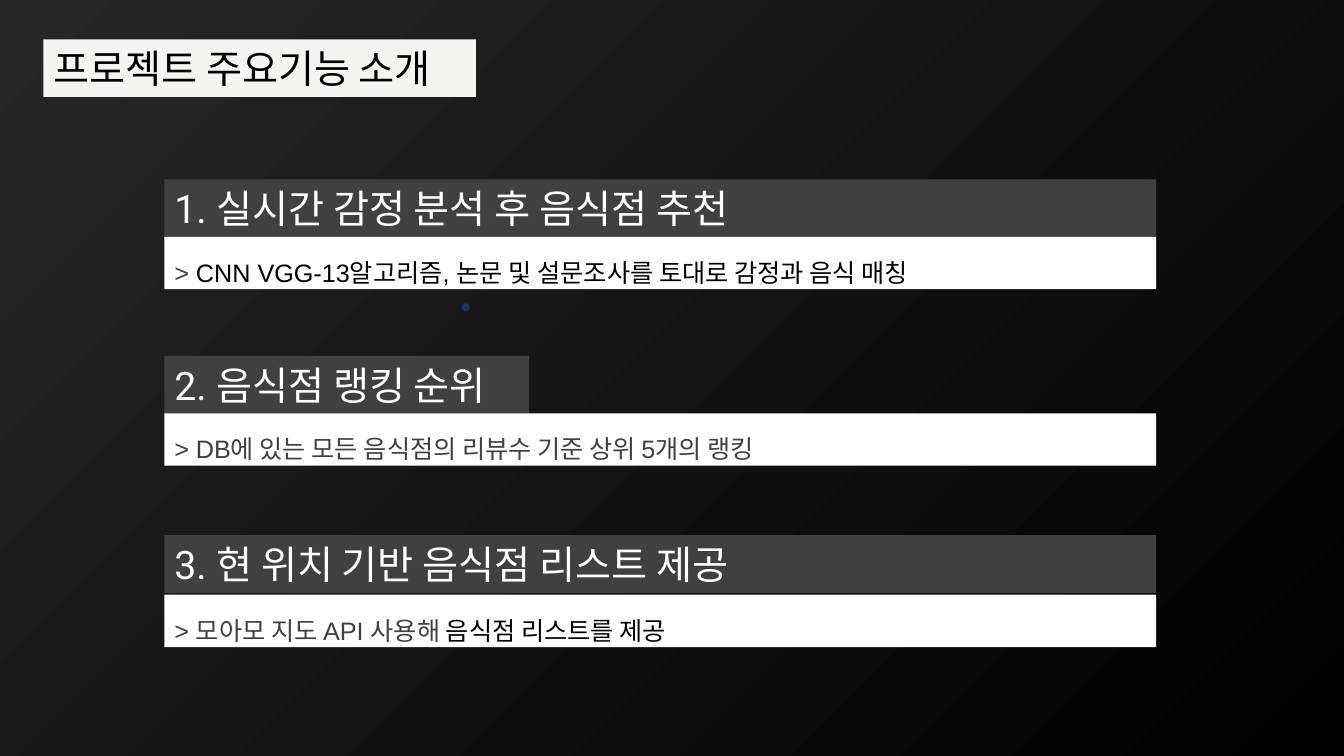
from dataclasses import dataclass

from pptx import Presentation
from pptx.dml.color import RGBColor as RGB
from pptx.enum.shapes import MSO_SHAPE as Shape
from pptx.enum.text import MSO_AUTO_SIZE as AutoSize
from pptx.util import Pt


@dataclass(frozen=True)
class Theme:
    bg_start: RGB = RGB(0x26, 0x26, 0x26)
    black: RGB = RGB(0, 0, 0)
    white: RGB = RGB(255, 255, 255)
    title_bar: RGB = RGB(0xF4, 0xF4, 0xF3)
    heading_bar: RGB = RGB(0x40, 0x40, 0x41)
    detail: RGB = RGB(0x40, 0x40, 0x40)
    dot: RGB = RGB(0x17, 0x37, 0x5E)
    heading_font: str = "Roboto"
    detail_font: str = "Arial"
    heading_size: Pt = Pt(28)
    detail_size: Pt = Pt(18)


THEME = Theme()
LEFT, WIDTH = 117.4, 708.5
HEADING_HEIGHT, DETAIL_HEIGHT = 41.2, 37.4

# heading top, heading width (None: full), detail top, heading, grey and black detail text
FEATURES = [
    (128.2, None, 169.2, "1. 실시간 감정 분석 후 음식점 추천",
     "> ", "CNN VGG-13알고리즘, 논문 및 설문조사를 토대로 감정과 음식 매칭"),
    (254.2, 260.6, 295.2, "2. 음식점 랭킹 순위",
     "> DB에 있는 모든 음식점의 리뷰수 기준 상위 5개의 랭킹", ""),
    (382.3, None, 424.8, "3. 현 위치 기반 음식점 리스트 제공",
     "> 모아모 지도 API 사용해 ", "음식점 리스트를 제공"),
]


def paint_background(s):
    fill = s.background.fill
    fill.gradient()
    fill.gradient_angle = 315
    for stop, color in zip(fill.gradient_stops, (THEME.bg_start, THEME.black)):
        stop.color.rgb = color


def add_dot(s, left, top, size):
    sp = s.shapes.add_shape(Shape.OVAL, Pt(left), Pt(top), Pt(size), Pt(size))
    sp.shadow.inherit = False
    sp.fill.solid()
    sp.fill.fore_color.rgb = THEME.dot
    sp.line.fill.background()


def add_bar(s, left, top, width, height, color, wrap=True):
    """Add a filled text box and return its first paragraph."""
    sp = s.shapes.add_textbox(Pt(left), Pt(top), Pt(width), Pt(height))
    sp.fill.solid()
    sp.fill.fore_color.rgb = color
    tf = sp.text_frame
    tf.word_wrap = wrap
    tf.auto_size = AutoSize.SHAPE_TO_FIT_TEXT
    return tf.paragraphs[0]


def add_heading(s, left, top, width, text, bar_color, color, wrap=True):
    p = add_bar(s, left, top, width, HEADING_HEIGHT, bar_color, wrap)
    p.text = text
    p.font.name = THEME.heading_font
    p.font.size = THEME.heading_size
    p.font.color.rgb = color


def add_detail(s, top, grey_text, black_text):
    p = add_bar(s, LEFT, top, WIDTH, DETAIL_HEIGHT, THEME.white)
    p.line_spacing = 1.5
    p.font.name = THEME.detail_font
    p.font.size = THEME.detail_size
    for text, color in ((grey_text, THEME.detail), (black_text, THEME.black)):
        if text:
            r = p.add_run()
            r.text = text
            r.font.color.rgb = color


def main():
    prs = Presentation()
    prs.slide_width, prs.slide_height = Pt(960), Pt(540)
    s = prs.slides.add_slide(prs.slide_layouts[6])
    paint_background(s)
    add_dot(s, 329.8, 216.7, 5.8)
    add_heading(s, 31, 28.1, 308.9, "프로젝트 주요기능 소개",
                THEME.title_bar, THEME.black, wrap=False)
    for top, width, detail_top, heading, grey_text, black_text in FEATURES:
        add_heading(s, LEFT, top, width or WIDTH, heading,
                    THEME.heading_bar, THEME.white, wrap=width is None)
        add_detail(s, detail_top, grey_text, black_text)
    prs.save("out.pptx")


if __name__ == "__main__":
    main()
